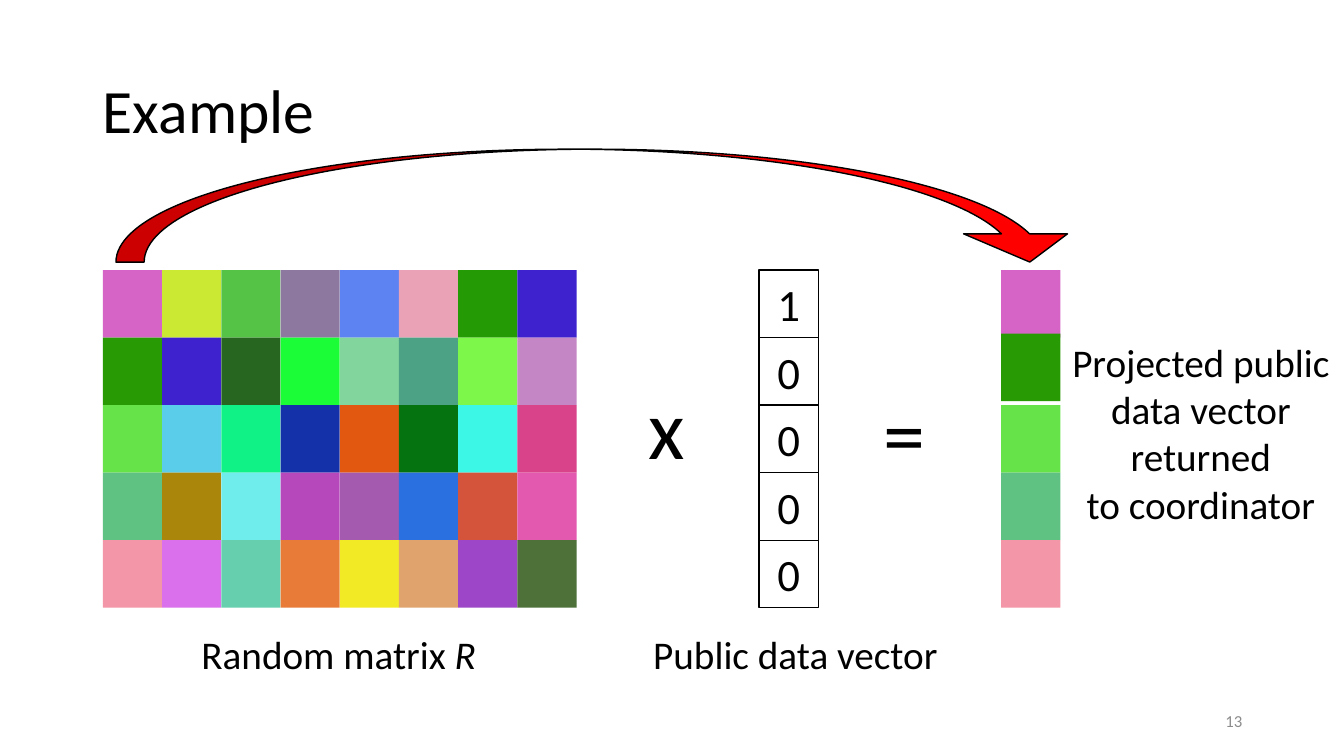
"""Build the slide that shows a random matrix times a public data vector."""
import pptx
import pptx.dml.color
import pptx.enum.shapes
import pptx.enum.text
import pptx.util

Inches = pptx.util.Inches
Kind = pptx.enum.shapes.MSO_SHAPE
Align = pptx.enum.text.PP_ALIGN
Middle = pptx.enum.text.MSO_ANCHOR.MIDDLE
Fit = pptx.enum.text.MSO_AUTO_SIZE

WIDE, HIGH = 4.7 / 8, 0.67
LEFT, TOP = 1.02, 2.68


def paint(part, tone):
    if hasattr(part, "solid"):
        part.solid()
        part = part.fore_color
    elif hasattr(part, "color"):
        part = part.color
    part.rgb = pptx.dml.color.RGBColor.from_string(tone)


def write(frame, lines, size, align=Align.LEFT, tone="000000"):
    for i, line in enumerate(lines):
        para = frame.paragraphs[0] if i == 0 else frame.add_paragraph()
        para.alignment = align
        for words, slant in line:
            run = para.add_run()
            run.text = words
            look = {"size": pptx.util.Pt(size), "name": "Calibri", "italic": slant}
            for key, value in look.items():
                setattr(run.font, key, value)
            paint(run.font, tone)


deck = pptx.Presentation()
deck.slide_width, deck.slide_height = Inches(13.33), Inches(7.5)
slide = deck.slides.add_slide(deck.slide_layouts[5])
shapes = slide.shapes

title = shapes.title
place = {"left": 0.92, "top": 0.4, "width": 11.5, "height": 1.45}
for key, value in place.items():
    setattr(title, key, Inches(value))
title.text_frame.vertical_anchor = Middle
write(title.text_frame, [[("Example", None)]], 44)
title.text_frame.paragraphs[0].line_spacing = 0.9

matrix = [
    "D664C7 CBE832 55C346 8D79A0 5D82F2 E9A2B6 249A04 3D22CD",
    "279A04 3D22CD 276621 1BFE37 82D59C 4BA285 7DF84A C486C4",
    "66E348 59CDEA 11F286 1531A9 E35810 057410 3CF7E6 D84389",
    "5FC182 AA870A 6FEDED B748BC A35AAF 2A70E0 D3543A E359AF",
    "F396A7 DA70EB 65CFAE E87B37 F2EA25 E0A36E 9D47C8 4E7139",
]
cells = []
for row, tones in enumerate(matrix):
    y = TOP + row * HIGH
    for col, tone in enumerate(tones.split()):
        cells.append((LEFT + col * WIDE, y, tone, None))
    cells.append((9.93, 3.31 if row == 1 else y, tones.split()[0], None))
    cells.append((7.53, y, "FFFFFF", "10000"[row]))

for x, y, tone, digit in cells:
    cell = shapes.add_shape(
        Kind.RECTANGLE, Inches(x), Inches(y), Inches(WIDE), Inches(HIGH))
    cell.shadow.inherit = False
    paint(cell.fill, tone)
    if digit is None:
        cell.line.fill.background()
    else:
        paint(cell.line, "000000")
        cell.line.width = pptx.util.Pt(1)
        cell.text_frame.vertical_anchor = Middle
        write(cell.text_frame, [[(digit, None)]], 32, Align.CENTER)

arrow = shapes.add_shape(
    Kind.CURVED_DOWN_ARROW, Inches(1.15), Inches(1.48), Inches(9.58), Inches(1.12))
arrow.shadow.inherit = False
for i, value in enumerate([0.25, 0.921, 0.25]):
    arrow.adjustments[i] = value
paint(arrow.fill, "FF0000")
paint(arrow.line, "000000")
arrow.line.width = pptx.util.Pt(1)

result = ["Projected public", "data vector", "returned", "to coordinator"]
labels = [
    (8.66, 3.74, 0.62, 1.11, [[("=", None)]], 60, Align.LEFT),
    (6.33, 3.68, 0.57, 1.11, [[("x", None)]], 60, Align.LEFT),
    (1.9, 6.2, 2.96, 0.57, [[("Random matrix ", None), ("R", True)]], 28, Align.LEFT),
    (6.38, 6.2, 3.05, 0.57, [[("Public data vector", None)]], 28, Align.LEFT),
    (10.52, 3.31, 2.78, 1.99, [[(line, None)] for line in result], 28, Align.CENTER),
]
for x, y, wide, high, lines, size, align in labels:
    box = shapes.add_textbox(Inches(x), Inches(y), Inches(wide), Inches(high))
    for key, value in {"word_wrap": False, "auto_size": Fit.SHAPE_TO_FIT_TEXT}.items():
        setattr(box.text_frame, key, value)
    write(box.text_frame, lines, size, align)

number = shapes.add_textbox(Inches(9.42), Inches(6.95), Inches(3), Inches(0.4))
for key, value in {"word_wrap": True, "vertical_anchor": Middle}.items():
    setattr(number.text_frame, key, value)
write(number.text_frame, [[("13", None)]], 12, Align.RIGHT, "8C8C8C")

deck.save("out.pptx")
